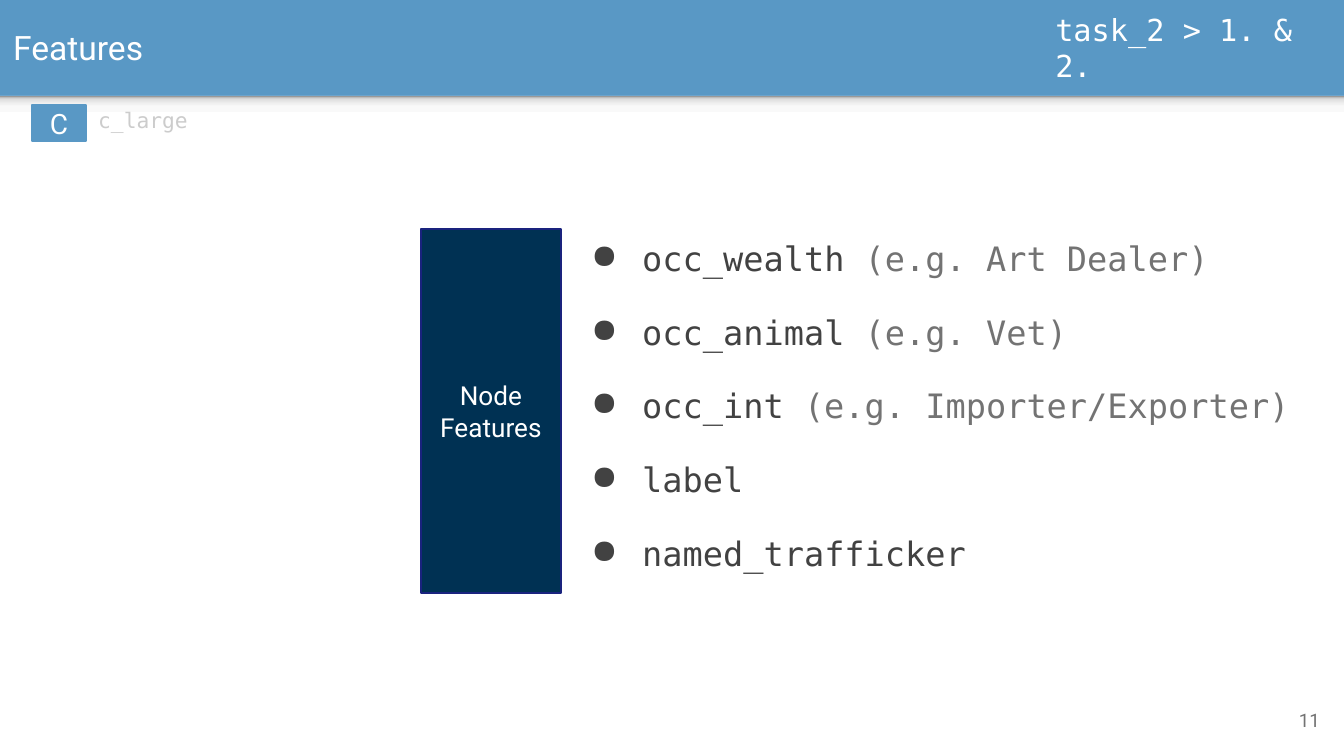
"""Build the node features slide."""
import dataclasses
import typing

import lxml.etree
import pptx
import pptx.dml.color
import pptx.enum.shapes
import pptx.enum.text
import pptx.oxml
import pptx.oxml.ns
import pptx.util

SCALE = 914400 / 134.4
WIDE, HIGH = 1344, 756
SANS, MONO = "Roboto", "DejaVu Sans Mono"
BLUE, NAVY, WHITE = "5998C5", "003153", "FFFFFF"
DARK, GREY, PALE = "424242", "737373", "CCCCCC"
ALIGN = pptx.enum.text.PP_ALIGN
Box = tuple[int, int, int, int]


@dataclasses.dataclass
class Label:
    """Text in a box, with an optional filled rectangle behind it."""
    box: Box
    lines: list[str]
    size: float
    font: str = SANS
    color: str = WHITE
    align: typing.Any = ALIGN.LEFT
    fill: str = ""
    edge: str = ""
    space: float = 1.0


class Item(typing.NamedTuple):
    """A feature name and its example."""
    name: str
    hint: str = ""


LABELS = [
    Label((1253, 691, 80, 58), ["11"], 10, color=GREY, align=ALIGN.RIGHT),
    Label((1042, 3, 302, 89), ["task_2 > 1. & 2."], 16.2, MONO),
    Label((0, 3, 234, 89), ["Features"], 18),
    Label((421, 229, 140, 364), ["Node", "Features"], 14,
          align=ALIGN.CENTER, fill=NAVY, edge="1A237E"),
    Label((32, 105, 54, 36), ["C"], 15,
          align=ALIGN.CENTER, fill=BLUE, edge=BLUE),
    Label((85, 105, 265, 36), ["c_large"], 11.4, MONO, PALE, space=0.8),
]
ITEMS = [
    Item("occ_wealth", "(e.g. Art Dealer)"),
    Item("occ_animal", "(e.g. Vet)"),
    Item("occ_int", "(e.g. Importer/Exporter)"),
    Item("label"),
    Item("named_trafficker"),
]
STOPS = [(0, "F9F9F9"), (36, "F9F9F9"), (80, "DEDEDE"), (100, "999999")]


def emu(px: float) -> int:
    """Turn px into EMU."""
    return round(px * SCALE)


def rgb(code: str) -> pptx.dml.color.RGBColor:
    """Turn a hex string into a colour."""
    return pptx.dml.color.RGBColor.from_string(code)


def add_rect(slide: typing.Any, box: Box, fill: str, edge: str = "") -> typing.Any:
    """Add a flat rectangle."""
    shape = slide.shapes.add_shape(
        pptx.enum.shapes.MSO_SHAPE.RECTANGLE, *map(emu, box))
    shape.shadow.inherit = False
    shape.fill.solid()
    shape.fill.fore_color.rgb = rgb(fill)
    if edge:
        shape.line.color.rgb = rgb(edge)
        shape.line.width = pptx.util.Pt(0.75)
    else:
        shape.line.fill.background()
    return shape


def add_shade(slide: typing.Any, box: Box) -> None:
    """Add the shaded strip below the header."""
    shape = add_rect(slide, box, WHITE)
    shape.fill.gradient()
    shape.fill.gradient_angle = 90
    stops = shape._element.spPr.find(".//" + pptx.oxml.ns.qn("a:gsLst"))
    for stop in list(stops):
        stops.remove(stop)
    for place, code in STOPS:
        stop = lxml.etree.SubElement(
            stops, pptx.oxml.ns.qn("a:gs"), pos=str(place * 1000))
        lxml.etree.SubElement(stop, pptx.oxml.ns.qn("a:srgbClr"), val=code)


def set_frame(shape: typing.Any, middle: bool) -> typing.Any:
    """Set wrap, insets and anchor, and return the text frame."""
    frame = shape.text_frame
    frame.word_wrap = True
    frame.margin_left = frame.margin_right = pptx.util.Inches(0.1)
    frame.margin_top = frame.margin_bottom = pptx.util.Inches(0.1)
    anchor = pptx.enum.text.MSO_ANCHOR
    frame.vertical_anchor = anchor.MIDDLE if middle else anchor.TOP
    return frame


def add_label(slide: typing.Any, label: Label) -> None:
    """Add a label."""
    if label.fill:
        shape = add_rect(slide, label.box, label.fill, label.edge)
    else:
        shape = slide.shapes.add_textbox(*map(emu, label.box))
    frame = set_frame(shape, True)
    frame.text = "\n".join(label.lines)
    for para in frame.paragraphs:
        para.alignment = label.align
        para.line_spacing = label.space
        para.font.size = pptx.util.Pt(label.size)
        para.font.name = label.font
        para.font.color.rgb = rgb(label.color)


def set_bullet(para: typing.Any, code: str) -> None:
    """Give a paragraph a round bullet and a hanging indent."""
    props = para._p.get_or_add_pPr()
    props.set("marL", str(emu(67)))
    props.set("indent", str(-emu(51)))
    color = lxml.etree.SubElement(props, pptx.oxml.ns.qn("a:buClr"))
    lxml.etree.SubElement(color, pptx.oxml.ns.qn("a:srgbClr"), val=code)
    lxml.etree.SubElement(props, pptx.oxml.ns.qn("a:buChar"), char="●")


def add_list(slide: typing.Any, box: Box, items: list[Item]) -> None:
    """Add the bulleted list of features."""
    frame = set_frame(slide.shapes.add_textbox(*map(emu, box)), False)
    for index, item in enumerate(items):
        para = frame.add_paragraph() if index else frame.paragraphs[0]
        para.line_spacing = 0.9
        if index:
            para.space_before = pptx.util.Pt(20)
        set_bullet(para, DARK)
        para.font.size = pptx.util.Pt(18)
        para.font.name = MONO
        para.font.color.rgb = rgb(DARK)
        para.add_run().text = item.name + (" " if item.hint else "")
        if item.hint:
            run = para.add_run()
            run.text = item.hint
            run.font.color.rgb = rgb(GREY)


def main() -> None:
    """Build and save the slide."""
    deck = pptx.Presentation()
    deck.slide_width, deck.slide_height = emu(WIDE), emu(HIGH)
    slide = deck.slides.add_slide(deck.slide_layouts[6])
    slide.background.fill.solid()
    slide.background.fill.fore_color.rgb = rgb(BLUE)
    add_rect(slide, (0, 96, WIDE, HIGH - 96), WHITE)
    add_shade(slide, (0, 96, WIDE, 16))
    add_list(slide, (562, 229, WIDE - 562, 364), ITEMS)
    for label in LABELS:
        add_label(slide, label)
    deck.save("out.pptx")


if __name__ == "__main__":
    main()
